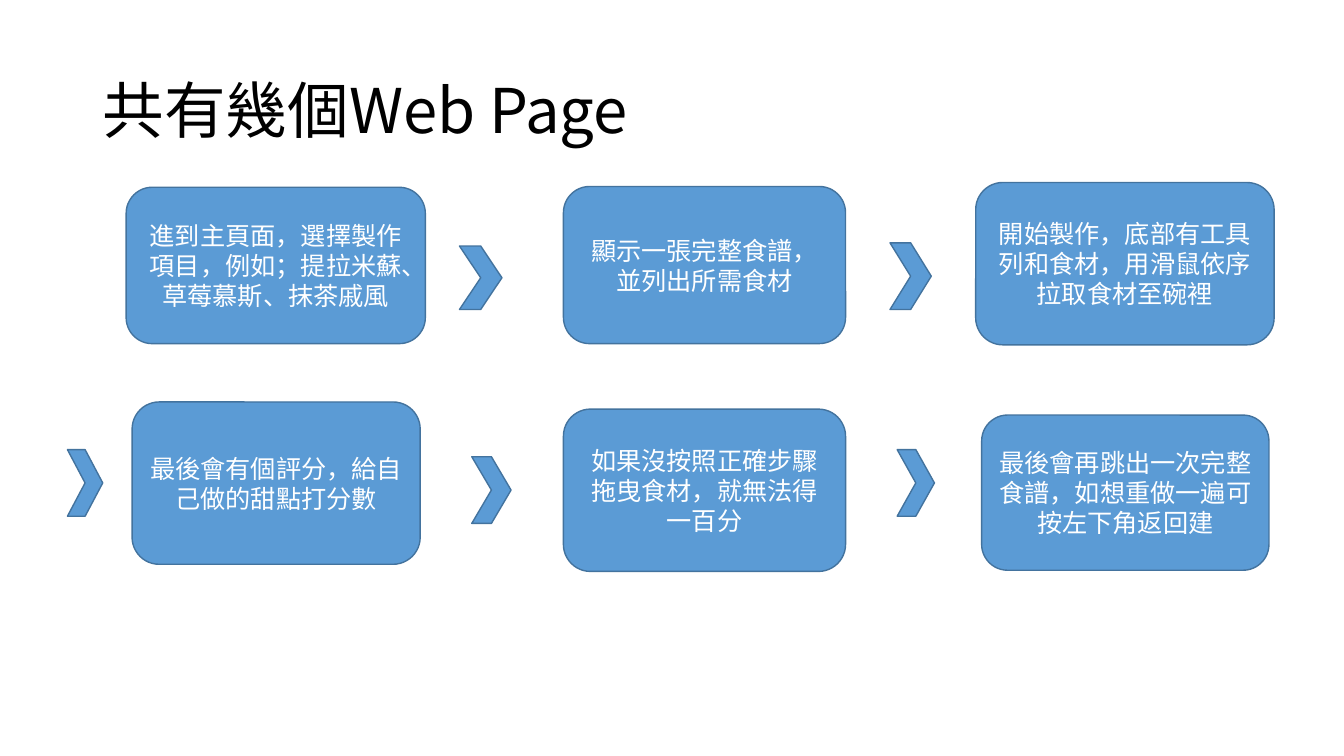
from lxml import etree
from pptx import Presentation
from pptx.dml.color import RGBColor
from pptx.enum.shapes import MSO_SHAPE as Shape
from pptx.enum.text import MSO_ANCHOR as Anchor, MSO_AUTO_SIZE as AutoSize, PP_ALIGN as Align
from pptx.oxml.ns import qn
from pptx.util import Cm, Pt

FONT = "Noto Sans CJK SC"
COLORS = {"fill": "5B9BD5", "line": "43739E", "title": "000000", "text": "FFFFFF"}

# left, top, width, height in cm
STEPS = [
    (3.18, 4.72, 7.54, 3.94, "進到主頁面，選擇製作項目，例如；提拉米蘇、草莓慕斯、抹茶戚風"),
    (14.2, 4.7, 7.11, 3.96, "顯示一張完整食譜，並列出所需食材"),
    (24.59, 4.6, 7.52, 4.09, "開始製作，底部有工具列和食材，用滑鼠依序拉取食材至碗裡"),
    (3.33, 10.13, 7.26, 4.09, "最後會有個評分，給自己做的甜點打分數"),
    (14.2, 10.31, 7.11, 4.09, "如果沒按照正確步驟拖曳食材，就無法得一百分"),
    (24.74, 10.46, 7.24, 3.91, "最後會再跳出一次完整食譜，如想重做一遍可按左下角返回建"),
]
CHEVRONS = [
    (11.58, 6.2, 1.07, 1.6),
    (22.43, 6.12, 1.04, 1.68),
    (1.7, 11.33, 0.89, 1.68),
    (11.89, 11.51, 0.99, 1.68),
    (22.61, 11.33, 0.94, 1.68),
]


def write_text(box, text, size, color, align):
    frame = box.text_frame
    frame.text = text
    frame.word_wrap = True
    frame.auto_size = AutoSize.NONE
    frame.vertical_anchor = Anchor.MIDDLE
    para = frame.paragraphs[0]
    para.alignment = align
    font = para.runs[0].font
    font.size = Pt(size)
    font.color.rgb = RGBColor.from_string(COLORS[color])
    font.name = FONT
    # Chinese characters take the East Asian typeface
    etree.SubElement(para.runs[0].font._element, qn("a:ea"), typeface=FONT)


def add_blue_shape(kind, left, top, width, height):
    shape = page.shapes.add_shape(kind, Cm(left), Cm(top), Cm(width), Cm(height))
    shape.shadow.inherit = False
    shape.fill.solid()
    shape.fill.fore_color.rgb = RGBColor.from_string(COLORS["fill"])
    shape.line.color.rgb = RGBColor.from_string(COLORS["line"])
    shape.line.width = Pt(1)
    return shape


deck = Presentation()
deck.slide_width, deck.slide_height = Cm(33.87), Cm(19.05)
page = deck.slides.add_slide(deck.slide_layouts[5])

title = page.shapes.title
title.left, title.top, title.width, title.height = Cm(2.33), Cm(1.01), Cm(29.21), Cm(3.68)
write_text(title, "共有幾個Web Page", 44, "title", Align.LEFT)
title.text_frame.paragraphs[0].line_spacing = 0.9

for *place, text in STEPS:
    step = add_blue_shape(Shape.ROUNDED_RECTANGLE, *place)
    write_text(step, text, 18, "text", Align.CENTER)

for place in CHEVRONS:
    add_blue_shape(Shape.CHEVRON, *place)

deck.save("out.pptx")
